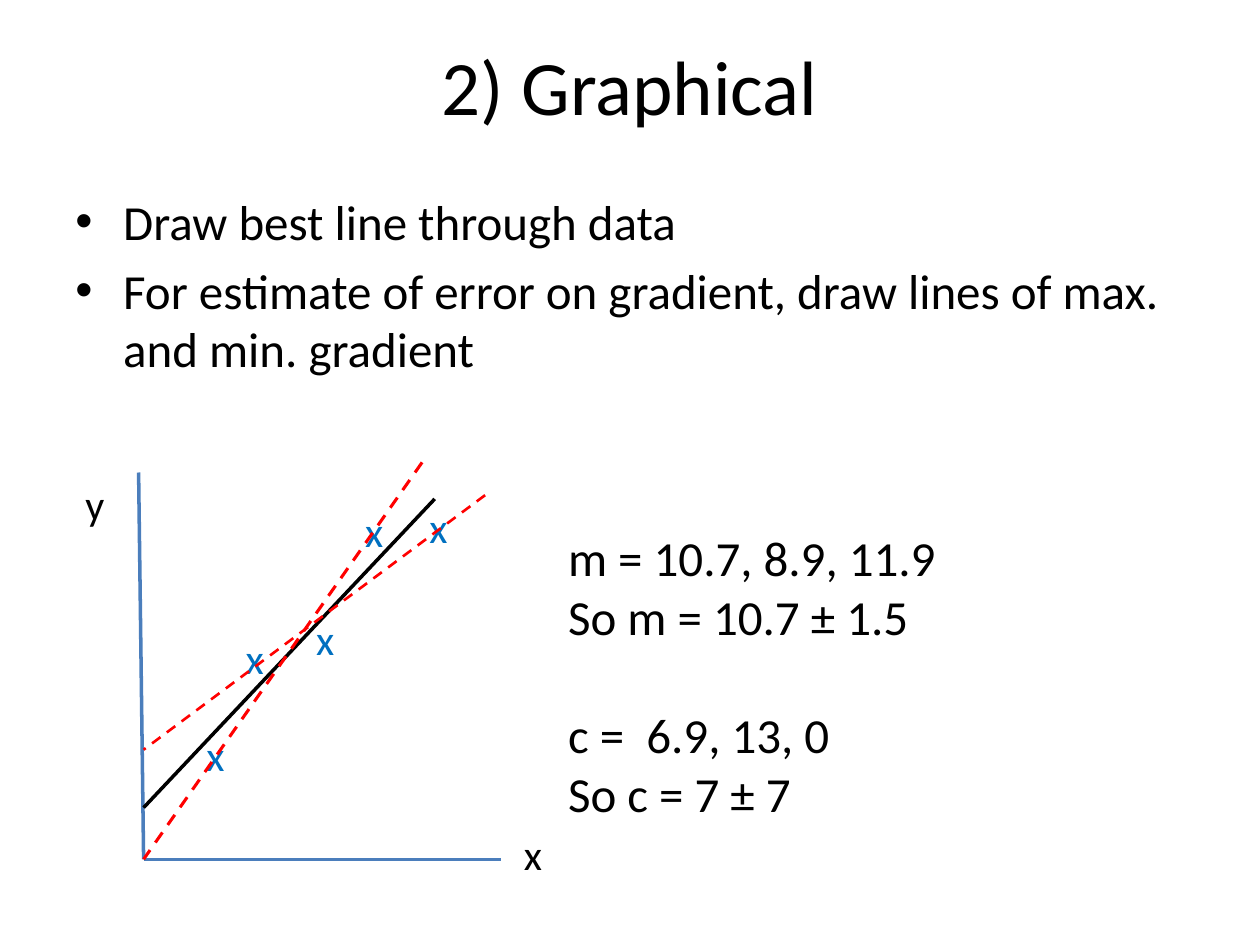
from lxml.etree import SubElement
from pptx import Presentation
from pptx.dml.color import RGBColor
from pptx.enum.dml import MSO_LINE
from pptx.enum.shapes import MSO_CONNECTOR
from pptx.enum.text import MSO_ANCHOR, PP_ALIGN
from pptx.oxml.ns import qn
from pptx.util import Inches, Pt

COLORS = {
    "text": "000000",
    "axis": "4B7EBC",
    "point": "0070C0",
    "limit": "FF0000",
}
FONT = "Calibri"


def add_text(page, position, lines, size, color="text"):
    """Add a text box with one paragraph per line and return its frame."""
    box = page.shapes.add_textbox(*[Inches(value) for value in position])
    frame = box.text_frame
    frame.word_wrap = True
    for index, line in enumerate(lines):
        para = frame.paragraphs[0] if index == 0 else frame.add_paragraph()
        span = para.add_run()
        span.text = line
        span.font.name = FONT
        span.font.size = Pt(size)
        span.font.color.rgb = RGBColor.from_string(COLORS[color])
    return frame


def add_bullet(para, indent):
    """Give a paragraph a hanging bullet."""
    properties = para._p.get_or_add_pPr()
    properties.set("marL", str(Inches(indent)))
    properties.set("indent", str(-Inches(indent)))
    SubElement(properties, qn("a:buFont"), typeface="Arial")
    SubElement(properties, qn("a:buChar"), char="•")


def add_line(page, start, end, color, width, dashed=False):
    """Add a straight line without a shadow."""
    ends = [Inches(value) for value in (*start, *end)]
    line = page.shapes.add_connector(MSO_CONNECTOR.STRAIGHT, *ends)
    line.line.color.rgb = RGBColor.from_string(COLORS[color])
    line.line.width = Pt(width)
    if dashed:
        line.line.dash_style = MSO_LINE.DASH
    SubElement(line._element.spPr, qn("a:effectLst"))


def add_graph(page):
    """Draw the axes, best line, data points and limiting lines."""
    origin = (1.14, 6.82)
    add_line(page, (1.1, 3.75), origin, "axis", 2)
    add_line(page, origin, (3.98, 6.82), "axis", 2)
    add_line(page, (1.14, 6.41), (3.45, 3.96), "text", 2)

    # Axis labels
    add_text(page, (0.58, 3.75, 1.03, 0.5), ["y"], 24)
    add_text(page, (4.06, 6.53, 1.09, 0.5), ["x"], 24)

    # Data points
    for left, top in [(2.41, 4.82), (1.85, 4.97), (1.54, 5.74), (2.8, 3.96), (3.31, 3.93)]:
        add_text(page, (left, top, 0.55, 0.5), ["x"], 24, "point")

    # Minimum and maximum gradient
    add_line(page, (3.85, 3.93), (1.14, 5.95), "limit", 1.5, dashed=True)
    add_line(page, (3.35, 3.67), origin, "limit", 1.75, dashed=True)


def main():
    deck = Presentation()
    deck.slide_width = Inches(10)
    deck.slide_height = Inches(7.5)
    page = deck.slides.add_slide(deck.slide_layouts[6])

    # Title
    title = add_text(page, (0.5, 0.05, 9, 1.25), ["2) Graphical"], 44)
    title.vertical_anchor = MSO_ANCHOR.MIDDLE
    title.paragraphs[0].alignment = PP_ALIGN.CENTER

    # Instructions
    steps = [
        "Draw best line through data",
        "For estimate of error on gradient, draw lines of max. and min. gradient",
    ]
    body = add_text(page, (0.5, 1.47, 9, 4.95), steps, 28)
    for para in body.paragraphs:
        para.space_before = Pt(5.6)
        add_bullet(para, 0.38)

    add_graph(page)

    # Results, with a gap of one line before the intercept
    results = ["m = 10.7, 8.9, 11.9", "So m = 10.7 ± 1.5", "c =  6.9, 13, 0", "So c = 7 ± 7"]
    frame = add_text(page, (4.41, 4.14, 5.08, 2.46), results, 28)
    frame.paragraphs[2].space_before = Pt(34)

    deck.save("out.pptx")


if __name__ == "__main__":
    main()
